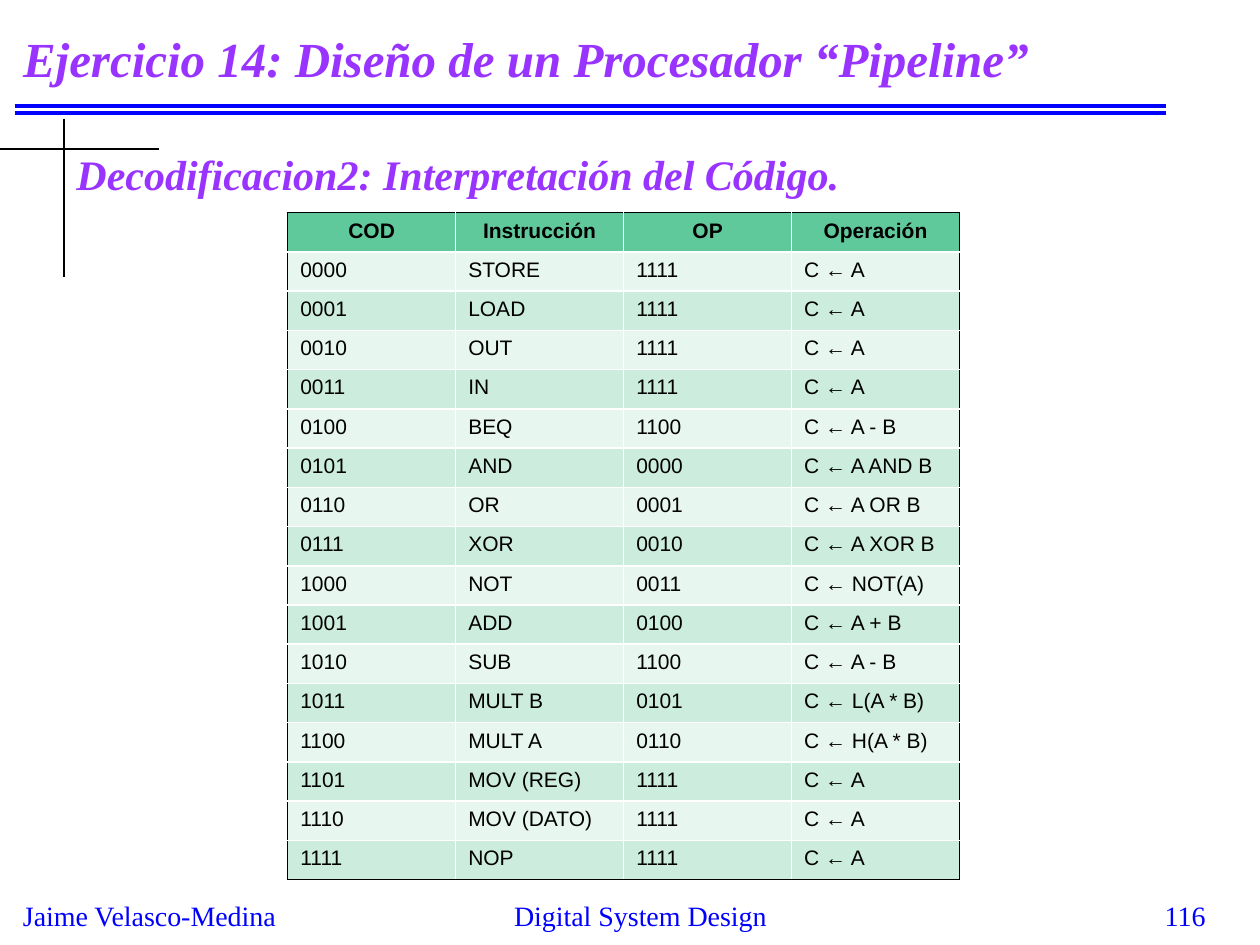
from pptx import Presentation
from pptx.dml.color import RGBColor
from pptx.enum.shapes import MSO_CONNECTOR
from pptx.enum.text import MSO_ANCHOR, MSO_AUTO_SIZE, PP_ALIGN
from pptx.oxml import parse_xml
from pptx.oxml.ns import nsdecls
from pptx.util import Inches, Pt

LINE = MSO_CONNECTOR.STRAIGHT
LEFT, MID, RIGHT = PP_ALIGN.LEFT, PP_ALIGN.CENTER, PP_ALIGN.RIGHT
TOP, CENTER = MSO_ANCHOR.TOP, MSO_ANCHOR.MIDDLE
FIXED = MSO_AUTO_SIZE.NONE
UNIT = Inches(1) / 12
BLUE, BLACK, WHITE = "0000FF", "000000", "FFFFFF"
HEAD, PALE, MINT = "60C99C", "E7F6EF", "CCECDE"

SERIF = {"name": "Times New Roman", "bold": False, "italic": False}
TITLE = SERIF | {"size": Pt(28), "bold": True, "italic": True, "color": "9933FF"}
SUB = TITLE | {"size": Pt(24)}
FOOT = SERIF | {"size": Pt(16), "color": BLUE}
CELL = {"name": "Arial", "size": Pt(12), "bold": False, "color": BLACK}
HEADER = CELL | {"bold": True}

CODES = [
    ("COD", "Instrucción", "OP", "Operación"),
    ("0000", "STORE", "1111", "C ← A"),
    ("0001", "LOAD", "1111", "C ← A"),
    ("0010", "OUT", "1111", "C ← A"),
    ("0011", "IN", "1111", "C ← A"),
    ("0100", "BEQ", "1100", "C ← A - B"),
    ("0101", "AND", "0000", "C ← A AND B"),
    ("0110", "OR", "0001", "C ← A OR B"),
    ("0111", "XOR", "0010", "C ← A XOR B"),
    ("1000", "NOT", "0011", "C ← NOT(A)"),
    ("1001", "ADD", "0100", "C ← A + B"),
    ("1010", "SUB", "1100", "C ← A - B"),
    ("1011", "MULT B", "0101", "C ← L(A * B)"),
    ("1100", "MULT A", "0110", "C ← H(A * B)"),
    ("1101", "MOV (REG)", "1111", "C ← A"),
    ("1110", "MOV (DATO)", "1111", "C ← A"),
    ("1111", "NOP", "1111", "C ← A"),
]


def paint(code):
    return RGBColor.from_string(code)


def grid(*spots):
    return [round(spot * UNIT) for spot in spots]


class Deck:
    def __init__(self):
        self.file = Presentation()
        self.file.slide_width, self.file.slide_height = grid(120, 90)
        self.slide = self.file.slides.add_slide(self.file.slide_layouts[5])
        self.shapes = self.slide.shapes

    def fill(self, frame, text, style, align=LEFT):
        frame.text = text
        para = frame.paragraphs[0]
        para.alignment = align
        font = para.runs[0].font
        for key, value in style.items():
            if key == "color":
                font.color.rgb = paint(value)
            else:
                setattr(font, key, value)

    def fit(self, frame, anchor, wrap=True):
        form = {"auto_size": FIXED, "word_wrap": wrap, "vertical_anchor": anchor}
        for key, value in form.items():
            setattr(frame, key, value)

    def title(self, text, area):
        shape = self.shapes.title
        names = ("left", "top", "width", "height")
        for key, value in zip(names, grid(*area)):
            setattr(shape, key, value)
        self.fit(shape.text_frame, CENTER)
        self.fill(shape.text_frame, text, TITLE)

    def text(self, text, area, style, align=LEFT, anchor=TOP, wrap=True):
        frame = self.shapes.add_textbox(*grid(*area)).text_frame
        self.fit(frame, anchor, wrap)
        self.fill(frame, text, style, align)

    def rule(self, ends, color, width):
        line = self.shapes.add_connector(LINE, *grid(*ends))
        line.line.color.rgb = paint(color)
        line.line.width = Pt(width)
        line._element.spPr.append(parse_xml(f"<a:effectLst {nsdecls('a')}/>"))

    def edge(self, cell, side, color):
        cell._tc.get_or_add_tcPr().append(parse_xml(
            f'<a:ln{side} {nsdecls("a")} w="12700"><a:solidFill>'
            f'<a:srgbClr val="{color}"/></a:solidFill></a:ln{side}>'))

    def table(self, data, area):
        rows, cols = len(data), len(data[0])
        table = self.shapes.add_table(rows, cols, *grid(*area)).table
        table.horz_banding = False
        for y, row in enumerate(data):
            for x, text in enumerate(row):
                cell = table.cell(y, x)
                outer = {"L": x == 0, "R": x == cols - 1,
                         "T": y == 0, "B": y == rows - 1}
                for side, rim in outer.items():
                    self.edge(cell, side, BLACK if rim else WHITE)
                cell.fill.solid()
                tone = HEAD if y == 0 else (MINT, PALE)[y % 2]
                cell.fill.fore_color.rgb = paint(tone)
                style, align = (CELL, LEFT) if y else (HEADER, MID)
                self.fill(cell.text_frame, text, style, align)


def main():
    deck = Deck()
    for y in (10.1, 10.8):
        deck.rule((1.4, y, 111, y), BLUE, 2.25)
    deck.text("Jaime Velasco-Medina", (1, 85, 27, 4.4), FOOT, wrap=False)
    deck.text("Digital System Design", (40, 85, 42, 4), FOOT, MID)
    deck.text("116", (91, 85, 25, 3), FOOT, RIGHT)
    deck.rule((0, 14.2, 15.1, 14.2), BLACK, 0.75)
    deck.rule((6.1, 11.3, 6.1, 26.4), BLACK, 0.75)
    deck.table(CODES, (27.4, 20.25, 64, 63.6))
    deck.text("Decodificacion2: Interpretación del Código.",
              (6.1, 12, 110, 9), SUB, anchor=CENTER)
    deck.title("Ejercicio 14: Diseño de un Procesador “Pipeline”", (1, 1, 110, 9))
    deck.file.save("out.pptx")


if __name__ == "__main__":
    main()
